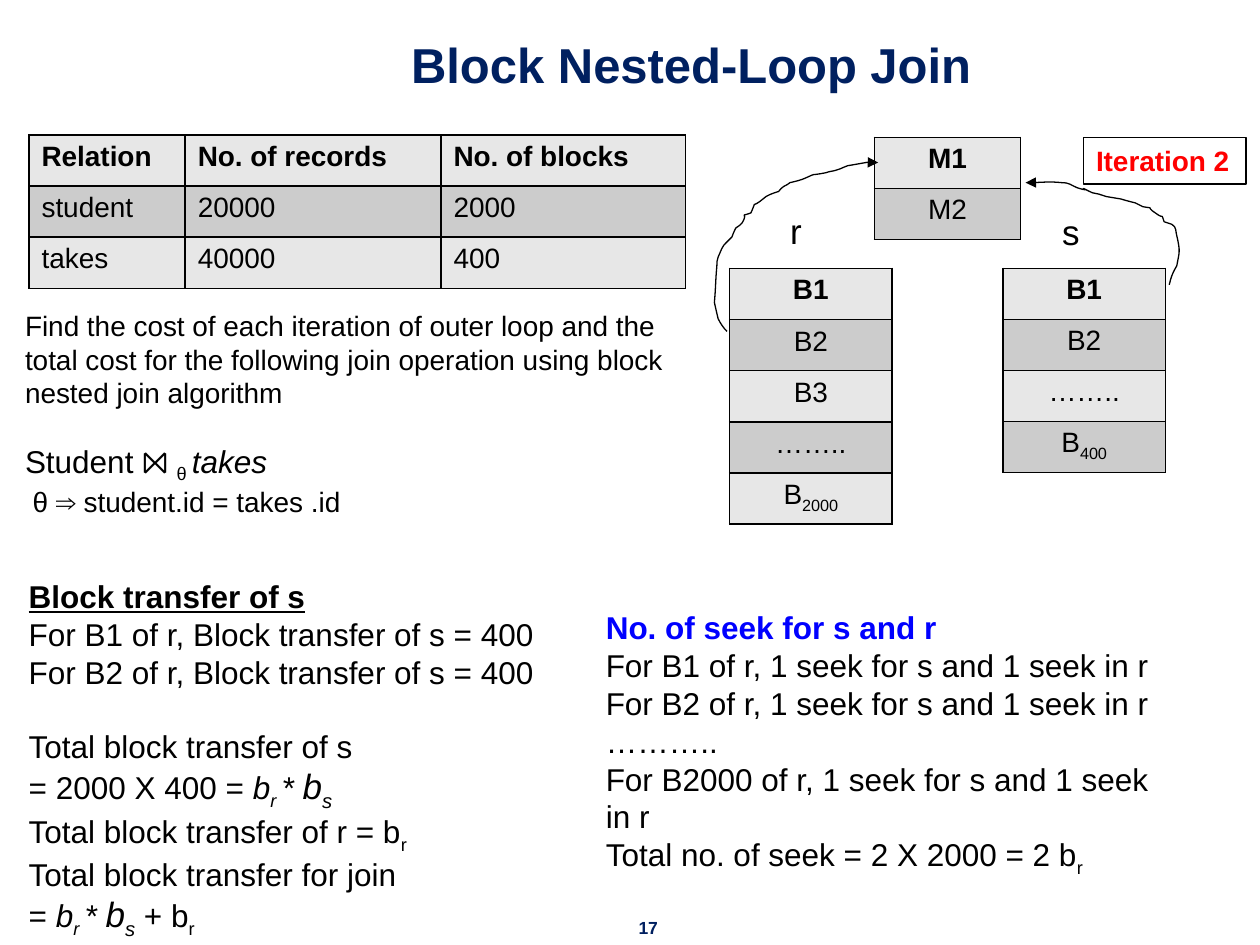
"""Build the Block Nested-Loop Join slide."""
from lxml import etree
from pptx import Presentation
from pptx.dml.color import RGBColor
from pptx.enum import text
from pptx.oxml import ns
from pptx.util import Inches, Pt

COLORS = {"navy": "002060", "black": "000000", "red": "FF0000", "blue": "0000FF",
          "white": "FFFFFF", "light": "E7E7E7", "dark": "CCCCCC"}
LEFT, CENTER = text.PP_ALIGN.LEFT, text.PP_ALIGN.CENTER
TOP, BOTTOM = text.MSO_ANCHOR.TOP, text.MSO_ANCHOR.BOTTOM
SUB = {"baseline": -25000}
ITALIC = {"italic": True}
ITALIC_SUB = {**ITALIC, **SUB}
LARGE = {"size": Pt(20), **ITALIC}


def rgb(name):
    return RGBColor.from_string(COLORS[name])


def write(tf, paragraphs, align=LEFT, **base):
    for i, runs in enumerate(paragraphs):
        p = tf.paragraphs[0] if i == 0 else tf.add_paragraph()
        p.alignment = align
        for content, extra in runs:
            r = p.add_run()
            r.text = content
            fmt = {"name": "Arial", "color": "black", **base, **extra}
            r.font.color.rgb = rgb(fmt.pop("color"))
            if "baseline" in fmt:
                r._r.get_or_add_rPr().set("baseline", str(fmt.pop("baseline")))
            for key, value in fmt.items():
                setattr(r.font, key, value)


prs = Presentation()
prs.slide_width, prs.slide_height = Inches(10), Inches(7.5)
s = prs.slides.add_slide(prs.slide_layouts[6])

tables = [
    (5.79, 2.13, 2.03, [1.29], CENTER,
     [["B1"], ["B2"], ["B3"], ["…….."], ["B", "2000"]]),
    (7.96, 2.13, 1.62, [1.29], CENTER, [["B1"], ["B2"], ["…….."], ["B", "400"]]),
    (6.94, 1.09, 0.81, [1.16], CENTER, [["M1"], ["M2"]]),
    (0.23, 1.07, 1.22, [1.24, 2.03, 1.94], LEFT,
     [["Relation", "No. of records", "No. of blocks"],
      ["student", "20000", "2000"], ["takes", "40000", "400"]]),
]
for x, y, height, widths, align, rows in tables:
    tbl = s.shapes.add_table(len(rows), len(widths), Inches(x), Inches(y),
                             Inches(sum(widths)), Inches(height)).table
    tbl.horz_banding = False
    for col, width in zip(tbl.columns, widths):
        col.width = Inches(width)
    for i, row in enumerate(rows):
        for j in range(len(widths)):
            cell = tbl.cell(i, j)
            runs = [(row[j], {})]
            if len(row) > len(widths):
                runs.append((row[-1], SUB))
            write(cell.text_frame, [runs], align, size=Pt(16), bold=i == 0)
            tcPr = cell._tc.get_or_add_tcPr()
            for side in ("lnL", "lnR", "lnT", "lnB"):
                ln = etree.SubElement(tcPr, ns.qn(f"a:{side}"), w=str(Pt(1)))
                fill = etree.SubElement(ln, ns.qn("a:solidFill"))
                etree.SubElement(fill, ns.qn("a:srgbClr"), val=COLORS["black"])
            cell.fill.solid()
            cell.fill.fore_color.rgb = rgb("dark" if i % 2 else "light")

# Points are hundredths of an inch: two numbers for a line, six for a curve.
arrows = [
    [(577, 263), (574, 260, 572, 257, 570, 253), (569, 249, 567, 240, 567, 240),
     (568, 230, 568, 221, 569, 211), (569, 209, 569, 206, 570, 204),
     (572, 200, 573, 195, 577, 192), (581, 188), (582, 185, 583, 183, 584, 181),
     (586, 179, 588, 179, 589, 177), (595, 167, 585, 173, 596, 169),
     (601, 158, 596, 165, 603, 160), (605, 159, 606, 157, 608, 156),
     (611, 154, 618, 152, 618, 152), (619, 150, 621, 149, 622, 148),
     (624, 147, 626, 146, 627, 145), (631, 144, 636, 143, 640, 141),
     (649, 137, 641, 140, 656, 137), (658, 136, 661, 136, 664, 135),
     (668, 134, 672, 131, 676, 131), (693, 128, 686, 129, 697, 129)],
    [(928, 226), (929, 223, 929, 221, 930, 219), (931, 216, 934, 211, 934, 211),
     (936, 200, 937, 200, 934, 187), (933, 184, 934, 180, 930, 178), (924, 176),
     (921, 168, 925, 175, 917, 169), (908, 163, 918, 166, 907, 164),
     (905, 163, 903, 162, 901, 161), (897, 160, 893, 159, 890, 158), (878, 156),
     (872, 154), (867, 153), (850, 145, 871, 154, 855, 149),
     (850, 147, 849, 145, 843, 145), (834, 144, 824, 145, 814, 145)],
]
for start, *segments in arrows:
    points = []
    for seg in segments:
        full = seg if len(seg) == 6 else seg * 3
        points += zip(full[::2], full[1::2])
    builder = s.shapes.build_freeform(*start, scale=Inches(0.01))
    builder.add_line_segments(points, close=False)
    sp = builder.convert_to_shape()
    sp.shadow.inherit = False
    sp.fill.background()
    sp.line.color.rgb, sp.line.width = rgb("black"), Pt(0.75)
    etree.SubElement(sp.line._get_or_add_ln(), ns.qn("a:tailEnd"), type="triangle")
    lines = sp._element.xpath(".//a:lnTo")
    for first, second, third in zip(lines[::3], lines[1::3], lines[2::3]):
        curve = etree.Element(ns.qn("a:cubicBezTo"))
        first.addprevious(curve)
        for line in (first, second, third):
            curve.append(line[0])
            line.getparent().remove(line)

product = [("b", ITALIC), ("r ", ITALIC_SUB), ("* ", ITALIC),
           ("b", LARGE), ("s", {**LARGE, **SUB})]
question = [
    [("Find the cost of each iteration of outer loop and the total cost for the "
      "following join operation using block nested join algorithm", {"size": Pt(16)})],
    [("Student ⨝ ", {}), ("θ ", SUB), ("takes", ITALIC)],
    [("θ ⇒ student.id = takes .id", {"size": Pt(16)})],
]
transfers = [
    [("Block transfer of s", {"bold": True, "underline": True})],
    [("For B1 of r, Block transfer of s = 400", {})],
    [("For B2 of r, Block transfer of s = 400", {})],
    [("Total block transfer of s", {})],
    [("= 2000 X 400 = ", {}), *product],
    [("Total block transfer of r = b", {}), ("r", SUB)],
    [("Total block transfer for join", {})],
    [("= ", {}), *product, (" + b", {}), ("r", SUB)],
]
seeks = [
    [("No. of seek for s and r", {"bold": True, "color": "blue"})],
    [("For B1 of r, 1 seek for s and 1 seek in r", {})],
    [("For B2 of r, 1 seek for s and 1 seek in r", {})],
    [("………..", {})],
    [("For B2000 of r, 1 seek for s and 1 seek in r", {})],
    [("Total no. of seek = 2 X 2000 = 2 b", {}), ("r", SUB)],
]
heading = {"color": "navy", "bold": True, "align": CENTER}
boxes = {
    "number": ((4.96, 7.23, 0.37, 0.27), [[("17", {})]], {"size": Pt(10), **heading}),
    "title": ((1.07, 0.12, 8.83, 0.67), [[("Block Nested-Loop Join", {})]],
              {"size": Pt(28), **heading}),
    "iteration": ((8.6, 1.09, 1.29, 0.37), [[("Iteration 2", {})]],
                  {"size": Pt(16), "color": "red", "bold": True}),
    "r": ((6.27, 1.61, 0.41, 0.33), [[("r", {})]], {"size": Pt(20)}),
    "s": ((8.43, 1.62, 0.41, 0.33), [[("s", {})]], {"size": Pt(20)}),
    "question": ((0.1, 2.4, 5.39, 2.02), question, {"size": Pt(18)}),
    "transfers": ((0.13, 4.53, 4.54, 2.89), transfers, {"size": Pt(18)}),
    "seeks": ((4.71, 4.78, 4.54, 2.22), seeks, {"size": Pt(18)}),
}
frames = {}
for name, (box, paragraphs, fmt) in boxes.items():
    sp = s.shapes.add_textbox(*map(Inches, box))
    tf = frames[name] = sp.text_frame
    tf.word_wrap = True
    tf.vertical_anchor = BOTTOM if name == "title" else TOP
    write(tf, paragraphs, **fmt)
    if name in ("r", "s"):
        tf.margin_left = tf.margin_right = 0
    if name == "r":
        sp.fill.solid()
        sp.fill.fore_color.rgb = rgb("white")
    if name == "iteration":
        sp.line.color.rgb, sp.line.width = rgb("black"), Pt(0.75)

frames["question"].paragraphs[1].space_before = Pt(18.4)
frames["question"].paragraphs[2]._p.get_or_add_pPr().set("marL", str(Inches(0.06)))
frames["transfers"].paragraphs[3].space_before = Pt(20.7)

prs.save("out.pptx")
